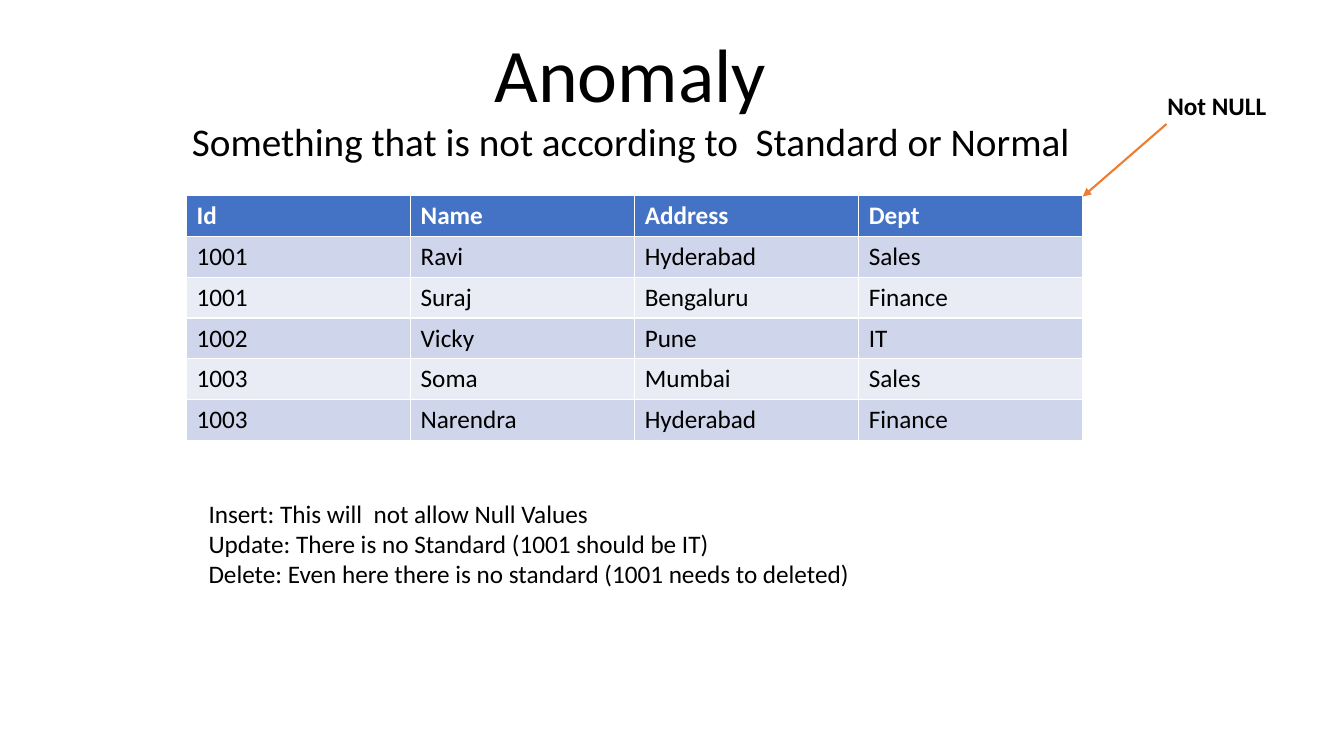
from pptx import Presentation
from pptx.dml.color import RGBColor
from pptx.enum.shapes import MSO_CONNECTOR
from pptx.enum.text import MSO_ANCHOR, MSO_AUTO_SIZE, PP_ALIGN
from pptx.oxml.ns import qn
from pptx.util import Inches, Pt
from lxml.etree import SubElement

BLACK = RGBColor(0x00, 0x00, 0x00)
WHITE = RGBColor(0xFF, 0xFF, 0xFF)
BLUE = RGBColor(0x44, 0x72, 0xC4)
DARK = RGBColor(0xCF, 0xD5, 0xEA)
LIGHT = RGBColor(0xE9, 0xEB, 0xF5)
ORANGE = RGBColor(0xED, 0x7D, 0x31)


def write(frame, text, size=18, color=BLACK, bold=False, align=PP_ALIGN.LEFT):
    frame.text = text
    for para in frame.paragraphs:
        para.alignment = align
        font = para.runs[0].font
        font.name = "Calibri"
        font.size = Pt(size)
        font.bold = bold
        font.color.rgb = color


deck = Presentation()
deck.slide_width = Inches(13.33)
deck.slide_height = Inches(7.5)
slide = deck.slides.add_slide(deck.slide_layouts[5])
shapes = slide.shapes

title = shapes.title
title.left, title.top = Inches(4.79), Inches(0.22)
title.width, title.height = Inches(2.92), Inches(1.01)
frame = title.text_frame
frame.word_wrap = False
frame.auto_size = MSO_AUTO_SIZE.NONE
frame.vertical_anchor = MSO_ANCHOR.TOP
write(frame, "Anomaly", size=54, align=PP_ALIGN.CENTER)

notes = [
    ((1.77, 1.11, 8.97, 0.57), "Something that is not according to  Standard or Normal",
     False, {"size": 28, "align": PP_ALIGN.CENTER}),
    ((11.48, 0.85, 1.33, 0.4), "Not NULL", True, {"bold": True}),
    ((1.97, 4.89, 6.67, 1.01),
     "Insert: This will  not allow Null Values\n"
     "Update: There is no Standard (1001 should be IT)\n"
     "Delete: Even here there is no standard (1001 needs to deleted)", True, {}),
]
for place, text, wrap, style in notes:
    frame = shapes.add_textbox(*map(Inches, place)).text_frame
    frame.word_wrap = wrap
    write(frame, text, **style)

rows = [
    ("Id", "Name", "Address", "Dept"),
    ("1001", "Ravi", "Hyderabad", "Sales"),
    ("1001", "Suraj", "Bengaluru", "Finance"),
    ("1002", "Vicky", "Pune", "IT"),
    ("1003", "Soma", "Mumbai", "Sales"),
    ("1003", "Narendra", "Hyderabad", "Finance"),
]
table = shapes.add_table(len(rows), len(rows[0]), Inches(1.85), Inches(1.94),
                         Inches(8.89), Inches(2.43)).table
for i, row in enumerate(rows):
    head = i == 0
    for j, text in enumerate(row):
        cell = table.cell(i, j)
        cell.fill.solid()
        cell.fill.fore_color.rgb = BLUE if head else DARK if i % 2 else LIGHT
        write(cell.text_frame, text, color=WHITE if head else BLACK, bold=head)

arrow = shapes.add_connector(MSO_CONNECTOR.STRAIGHT, Inches(11.57), Inches(1.23),
                             Inches(10.74), Inches(1.95))
arrow.line.color.rgb = ORANGE
arrow.line.width = Pt(1.5)
SubElement(arrow.line._get_or_add_ln(), qn("a:tailEnd"), type="triangle")
SubElement(arrow._element.spPr, qn("a:effectLst"))

deck.save("out.pptx")
